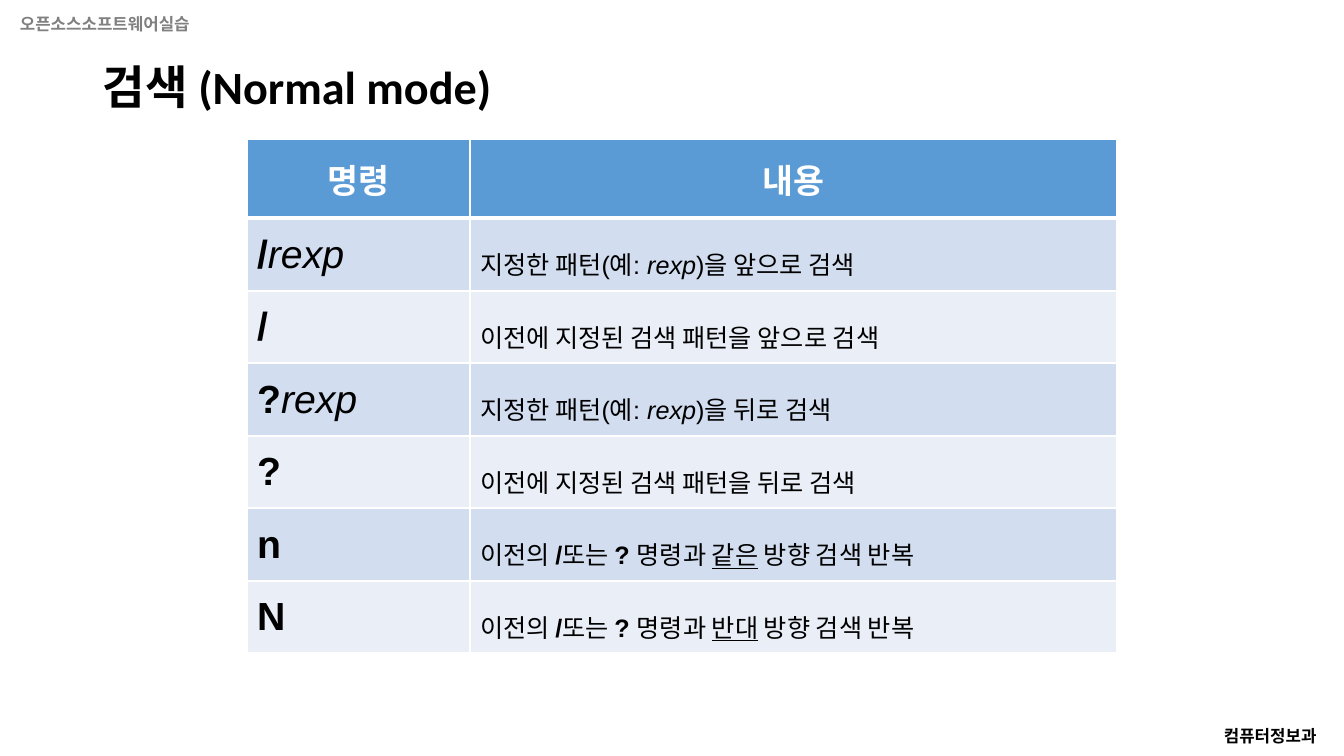
from pptx import Presentation, util as u
from pptx.dml.color import RGBColor
from pptx.enum import text
from pptx.oxml import parse_xml
from pptx.oxml.ns import nsdecls

PX = 914400 / 100.8


def px(length):
    return u.Emu(round(length * PX))


def add_run(paragraph, words, color, **font_values):
    run = paragraph.add_run()
    run.text = words
    run.font.color.rgb = RGBColor.from_string(color)
    for name, value in font_values.items():
        setattr(run.font, name, value)


deck = Presentation()
deck.slide_width, deck.slide_height = px(1344), px(756)
slide = deck.slides.add_slide(deck.slide_layouts[6])

# Department, course name and heading
labels = [
    ("컴퓨터정보과", (1214, 721, 122, 30), 12, "000000", False),
    ("오픈소스소프트웨어실습", (10, 9, 207, 30), 12, "808080", False),
    ("검색 (Normal mode)", (93, 40, 1159, 99), 33, "000000", True),
]
for words, place, size, color, is_heading in labels:
    frame = slide.shapes.add_textbox(*map(px, place)).text_frame
    frame.word_wrap = is_heading
    paragraph = frame.paragraphs[0]
    if is_heading:
        frame.vertical_anchor = text.MSO_ANCHOR.MIDDLE
        paragraph.line_spacing = 0.9
    else:
        frame.auto_size = text.MSO_AUTO_SIZE.SHAPE_TO_FIT_TEXT
    add_run(paragraph, words, color, name="Calibri", size=u.Pt(size), bold=True)

# Search commands: each cell is a list of (words, style letters b, i, u)
rows = [[[("명령", "b")], [("내용", "b")]]]
for sign, direction in [("/", "앞으로"), ("?", "뒤로")]:
    rows.append([[(sign, "b"), ("rexp", "i")],
                 [("지정한 패턴(예: ", ""), ("rexp", "i"), (f")을 {direction} 검색", "")]])
    rows.append([[(sign, "b")], [(f"이전에 지정된 검색 패턴을 {direction} 검색", "")]])
for key, direction in [("n", "같은"), ("N", "반대")]:
    rows.append([[(key, "b")],
                 [("이전의 ", ""), ("/", "b"), ("또는 ", ""), ("? ", "b"), ("명령과 ", ""),
                  (direction, "u"), (" 방향 검색 반복", "")]])

# Command table
column_widths = [223, 647]
row_heights = [79] + [73, 72] * 3
commands = slide.shapes.add_table(
    len(rows), 2, px(247), px(139), px(sum(column_widths)), px(sum(row_heights))).table
for column, width in zip(commands.columns, column_widths):
    column.width = px(width)

for r, row in enumerate(rows):
    commands.rows[r].height = px(row_heights[r])
    is_header = r == 0
    fill = "5B9BD5" if is_header else ("EAEFF7", "D2DEEF")[r % 2]
    for c, runs in enumerate(row):
        cell = commands.cell(r, c)
        cell.vertical_anchor = text.MSO_ANCHOR.MIDDLE

        # White borders, thicker under the header
        for side in "LRTB":
            thick = (is_header and side == "B") or (r == 1 and side == "T")
            cell._tc.get_or_add_tcPr().append(parse_xml(
                f'<a:ln{side} {nsdecls("a")} w="{u.Pt(3 if thick else 1)}"><a:solidFill>'
                f'<a:srgbClr val="FFFFFF"/></a:solidFill></a:ln{side}>'))
        cell.fill.solid()
        cell.fill.fore_color.rgb = RGBColor.from_string(fill)

        paragraph = cell.text_frame.paragraphs[0]
        if is_header:
            paragraph.alignment = text.PP_ALIGN.CENTER
        elif c == 1:
            paragraph.line_spacing = 1.5
        size = 24 if is_header else (28, 18)[c]
        for words, style in runs:
            add_run(paragraph, words, "FFFFFF" if is_header else "000000",
                    name="Arial", size=u.Pt(size), bold="b" in style,
                    italic="i" in style, underline="u" in style)

deck.save("out.pptx")
